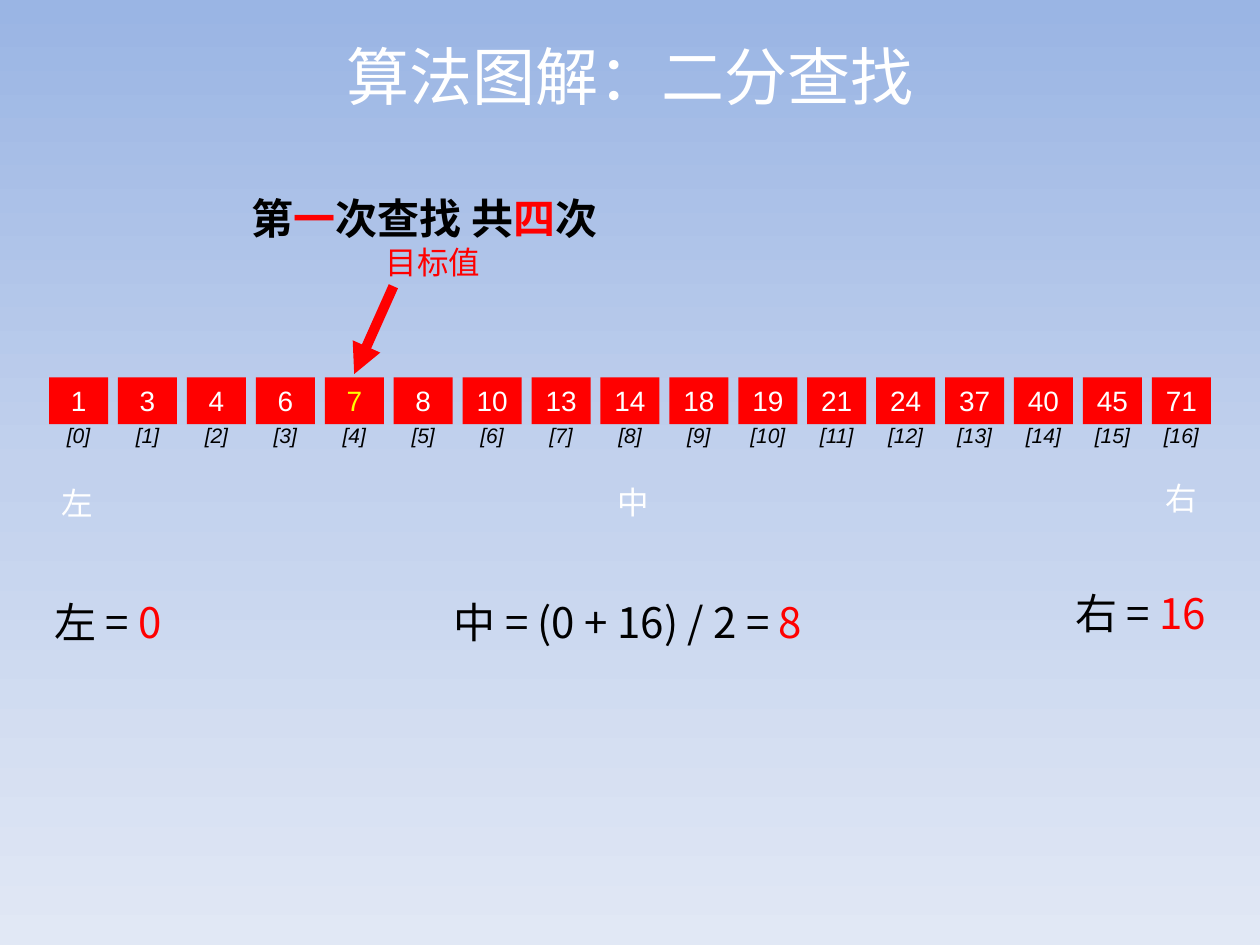
import copy

import lxml.etree
import pptx
import pptx.dml.color
import pptx.enum.shapes
import pptx.enum.text
import pptx.oxml.ns
import pptx.util
from pptx.util import Cm

CHINESE_FONT = "Noto Sans CJK SC"
RED, WHITE, BLACK, YELLOW = "FF0000", "FFFFFF", "000000", "FFFF00"
ALIGN = pptx.enum.text.PP_ALIGN
VALUES = [1, 3, 4, 6, 7, 8, 10, 13, 14, 18, 19, 21, 24, 37, 40, 45, 71]
TARGET = 7


def rgb(value):
    """Return the colour for a hex string."""
    return pptx.dml.color.RGBColor.from_string(value)


def fill_text(shape, runs, size, color, font=CHINESE_FONT, align=ALIGN.CENTER,
              bold=False, italic=False):
    """Write runs of (text, own colour or None) as one formatted paragraph."""
    paragraph = shape.text_frame.paragraphs[0]
    paragraph.alignment = align
    paragraph.font.size = pptx.util.Pt(size)
    paragraph.font.name = font
    paragraph.font.bold = bold
    paragraph.font.italic = italic
    paragraph.font.color.rgb = rgb(color)
    latin = paragraph._p.xpath("a:pPr/a:defRPr/a:latin")[0]
    east_asian = lxml.etree.Element(pptx.oxml.ns.qn("a:ea"), typeface=CHINESE_FONT)
    latin.addnext(east_asian)
    for text, own_color in runs:
        run = paragraph.add_run()
        run.text = text
        if own_color:
            run.font.color.rgb = rgb(own_color)


def add_label(slide, box, runs, size, color, wrap=True, **style):
    """Add a text box that grows with its text."""
    label = slide.shapes.add_textbox(*map(Cm, box))
    label.text_frame.word_wrap = wrap
    label.text_frame.auto_size = pptx.enum.text.MSO_AUTO_SIZE.SHAPE_TO_FIT_TEXT
    fill_text(label, runs, size, color, **style)


def set_background(slide):
    """Fill the slide with a vertical blue gradient of three stops."""
    fill = slide.background.fill
    fill.gradient()
    fill.gradient_angle = 270
    stop_list = slide.element.xpath(".//a:gsLst")[0]
    stop_list.insert(1, copy.deepcopy(stop_list[0]))
    stops = [(0, "9AB5E4"), (0.5, "C2D1ED"), (1, "E1E8F5")]
    for stop, (position, color) in zip(fill.gradient_stops, stops):
        stop.position = position
        stop.color.rgb = rgb(color)


def set_title(slide, box):
    """Place and write the slide title."""
    title = slide.shapes.title
    title.left, title.top, title.width, title.height = map(Cm, box)
    title.text_frame.vertical_anchor = pptx.enum.text.MSO_ANCHOR.TOP
    title.text_frame.auto_size = pptx.enum.text.MSO_AUTO_SIZE.NONE
    fill_text(title, [("算法图解：二分查找", None)], 36, WHITE)


def add_array(slide, box):
    """Draw the array cells with their indexes below."""
    left, top, width, height = box
    cell_width, index_width = 1.19, 1.34
    step = (width - cell_width) / (len(VALUES) - 1)
    for index, value in enumerate(VALUES):
        x = left + index * step
        cell = slide.shapes.add_shape(
            pptx.enum.shapes.MSO_SHAPE.RECTANGLE,
            *map(Cm, (x, top, cell_width, height)))
        cell.shadow.inherit = False
        cell.fill.solid()
        cell.fill.fore_color.rgb = rgb(RED)
        cell.line.fill.background()
        cell.text_frame.margin_left = cell.text_frame.margin_right = 0
        cell.text_frame.vertical_anchor = pptx.enum.text.MSO_ANCHOR.MIDDLE
        color = YELLOW if value == TARGET else WHITE
        fill_text(cell, [(str(value), None)], 16, color, font="Arial")
        index_left = x + (cell_width - index_width) / 2
        add_label(slide, (index_left, top + 0.79, index_width, 0.76),
                  [(f"[{index}]", None)], 12, BLACK, wrap=False,
                  font="Arial", italic=True)


def add_target(slide, box):
    """Add the target label and the arrow to its cell."""
    left, top, width, height = box
    add_label(slide, (left, top, width, 1.02), [("目标值", None)], 18, RED, font="Arial")
    arrow = slide.shapes.add_connector(
        pptx.enum.shapes.MSO_CONNECTOR.STRAIGHT,
        *map(Cm, (left + 0.79, top + 0.99, left, top + height)))
    arrow.line.color.rgb = rgb(RED)
    arrow.line.width = pptx.util.Pt(5.75)
    properties = arrow.element.spPr
    line = properties.find(pptx.oxml.ns.qn("a:ln"))
    lxml.etree.SubElement(line, pptx.oxml.ns.qn("a:tailEnd"), type="triangle")
    lxml.etree.SubElement(properties, pptx.oxml.ns.qn("a:effectLst"))


def add_pointers(slide, box):
    """Add the pointer marks under the array and their formulas."""
    left, top, width, height = box
    marks = [("左", 0, 0.1), ("中", 11.2, 0.08), ("右", 22.25, 0)]
    for name, x, y in marks:
        add_label(slide, (left + x, top + y, 1.6, 1.02), [(name, None)], 18, WHITE)
    formulas = [
        ("左 = ", "0", 0.08, 0.2, 4.06, ALIGN.LEFT),
        ("中 = (0 + 16) / 2 = ", "8", 7.43, 0.2, 8.94, ALIGN.CENTER),
        ("右 = ", "16", width - 3.5, 0, 3.5, ALIGN.RIGHT),
    ]
    for formula, result, x, y, formula_width, align in formulas:
        add_label(slide, (left + x, top + height - 1.47 + y, formula_width, 1.27),
                  [(formula, None), (result, RED)], 24, BLACK, align=align)


def main():
    """Build and save the slide."""
    presentation = pptx.Presentation()
    presentation.slide_width, presentation.slide_height = Cm(25.4), Cm(19.05)
    slide = presentation.slides.add_slide(presentation.slide_layouts[5])
    set_background(slide)
    set_title(slide, (0, 0.62, 25.4, 3.33))
    heading = [("第", None), ("一", RED), ("次查找 共", None), ("四", RED), ("次", None)]
    add_label(slide, (0, 3.76, 17.12, 1.27), heading, 24, BLACK, bold=True)
    add_array(slide, (0.99, 7.61, 23.42, 0.94))
    add_pointers(slide, (0.76, 9.53, 23.8, 3.65))
    add_target(slide, (7.14, 4.78, 3.18, 2.76))
    presentation.save("out.pptx")


if __name__ == "__main__":
    main()
